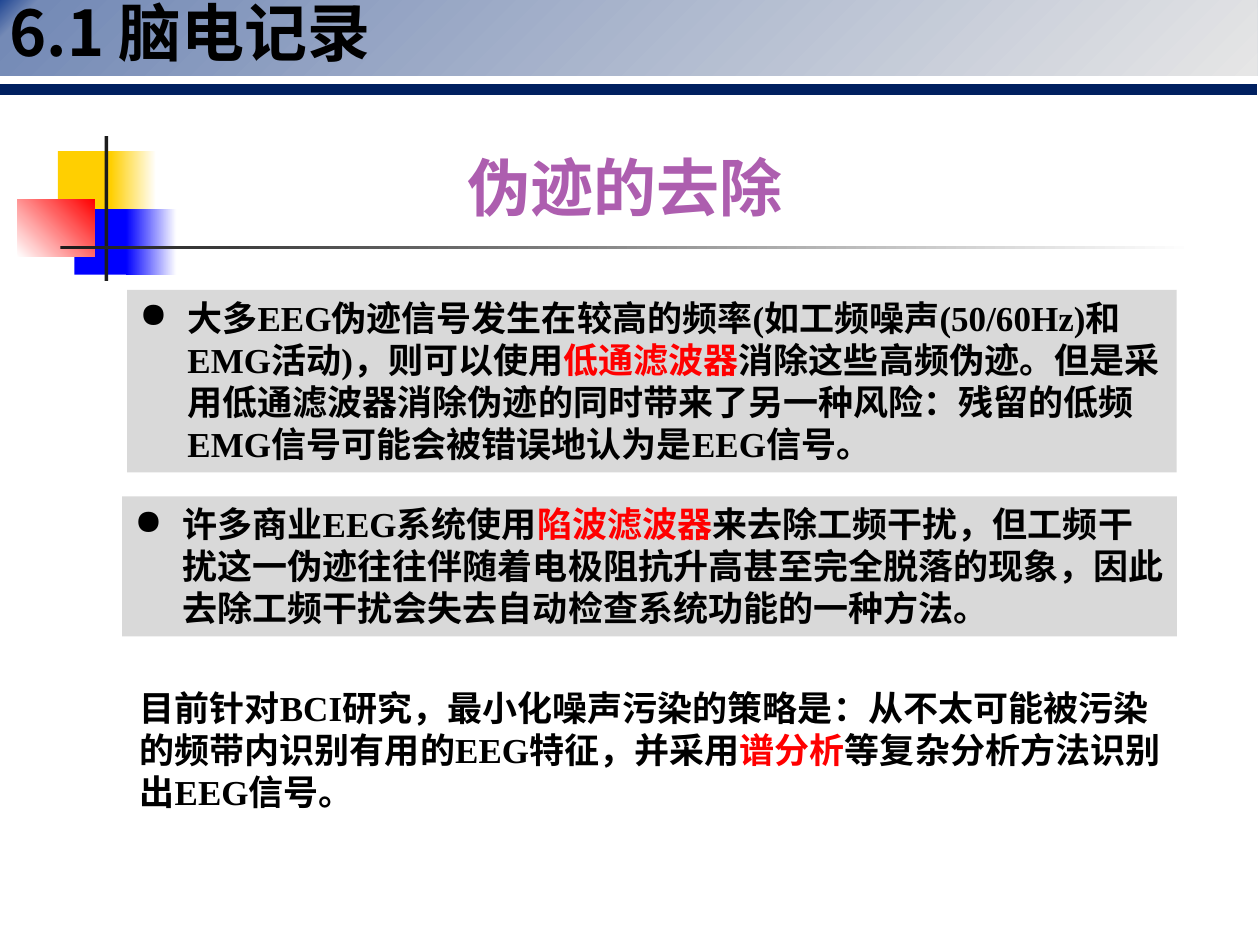
import pptx
import pptx.util
import pptx.dml.color
import pptx.enum.shapes
import pptx.enum.text
import pptx.oxml
import pptx.oxml.ns

PX = 9144  # 100 px to the inch
COLORS = {
    "yellow": "FFCF01", "blue": "0000FF", "red": "FF0000", "white": "FFFFFF",
    "bar": "1C1C1C", "navy": "012D86", "steel": "748AB6", "silver": "E6E6E6",
    "rule": "002060", "panel": "D9D9D9", "title": "AD5EAF", "black": "000000",
}
CJK_FONT = "Noto Sans CJK SC"
BODY_FONT = "Times New Roman"
FIRST_POINT = [
    ("大多EEG伪迹信号发生在较高的频率(如工频噪声(50/60Hz)和EMG活动)，则可以使用", "black"),
    ("低通滤波器", "red"),
    ("消除这些高频伪迹。但是采用低通滤波器消除伪迹的同时带来了另一种风险："
     "残留的低频EMG信号可能会被错误地认为是EEG信号。", "black"),
]
SECOND_POINT = [
    ("许多商业EEG系统使用", "black"),
    ("陷波滤波器", "red"),
    ("来去除工频干扰，但工频干扰这一伪迹往往伴随着电极阻抗升高甚至完全脱落的现象，"
     "因此去除工频干扰会失去自动检查系统功能的一种方法。", "black"),
]
SUMMARY = [
    ("目前针对BCI研究，最小化噪声污染的策略是：从不太可能被污染的频带内识别有用的EEG特征，并采用", "black"),
    ("谱分析", "red"),
    ("等复杂分析方法识别出EEG信号。", "black"),
]


def rgb(name):
    return pptx.dml.color.RGBColor.from_string(COLORS[name])


def fill_gradient(shape, stops, angle):
    """Fill with (percent, colour) stops; the angle runs clockwise in degrees."""
    marks = "".join(
        f'<a:gs pos="{percent * 1000}"><a:srgbClr val="{COLORS[name]}"/></a:gs>'
        for percent, name in stops)
    gradient = pptx.oxml.parse_xml(
        f'<a:gradFill {pptx.oxml.ns.nsdecls("a")} rotWithShape="1"><a:gsLst>{marks}</a:gsLst>'
        f'<a:lin ang="{angle * 60000}" scaled="0"/></a:gradFill>')
    shape.fill.background()
    properties = shape.fill._xPr
    properties.replace(properties.find(pptx.oxml.ns.qn("a:noFill")), gradient)


def add_block(page, box, colors, angle=0):
    """Add a rectangle: one colour is solid, several (percent, colour) stops a gradient."""
    block = page.shapes.add_shape(
        pptx.enum.shapes.MSO_SHAPE.RECTANGLE, *(length * PX for length in box))
    block.shadow.inherit = False
    block.line.fill.background()
    if isinstance(colors, str):
        block.fill.solid()
        block.fill.fore_color.rgb = rgb(colors)
    else:
        fill_gradient(block, colors, angle)
    return block


def write_text(shape, spans, size, font, bullet=False):
    frame = shape.text_frame
    frame.word_wrap = True
    frame.vertical_anchor = pptx.enum.text.MSO_ANCHOR.TOP
    para = frame.paragraphs[0]
    para.alignment = pptx.enum.text.PP_ALIGN.LEFT
    if bullet:
        properties = para._p.get_or_add_pPr()
        indent = 38 * PX
        properties.set("marL", str(indent))
        properties.set("indent", str(-indent))
        properties.append(pptx.oxml.parse_xml(
            f'<a:buChar {pptx.oxml.ns.nsdecls("a")} char="●"/>'))
    for text, color in spans:
        span = para.add_run()
        span.text = text
        span.font.size = pptx.util.Pt(size)
        span.font.bold = True
        span.font.name = font
        span.font.color.rgb = rgb(color)
        span.font._element.find(pptx.oxml.ns.qn("a:latin")).addnext(pptx.oxml.parse_xml(
            f'<a:ea {pptx.oxml.ns.nsdecls("a")} typeface="{CJK_FONT}"/>'))


def add_text(page, box, spans, size, font):
    shape = page.shapes.add_textbox(*(length * PX for length in box))
    write_text(shape, spans, size, font)


def add_ornament(page, left, top):
    """Coloured squares crossed by a vertical bar and a fading rule."""
    parts = [
        ((32, 12, 48, 52), "yellow", 0),
        ((74, 12, 36, 52), [(0, "yellow"), (100, "white")], 0),
        ((45, 58, 46, 52), "blue", 0),
        ((86, 58, 40, 52), [(0, "blue"), (100, "white")], 0),
        ((0, 50, 61, 46), [(0, "white"), (100, "red")], 315),
        ((69, 0, 3, 115), "bar", 0),
        ((34, 87, 900, 3), [(0, "bar"), (100, "white")], 0),
    ]
    for (x, y, width, height), colors, angle in parts:
        add_block(page, (left + x, top + y, width, height), colors, angle)


def add_header(page, left, top, width, height):
    band = add_block(page, (left, top, width, height),
                     [(0, "navy"), (4, "steel"), (100, "silver")], 45)
    write_text(band, [("6.1 脑电记录", "black")], 36, CJK_FONT)
    band.text_frame.vertical_anchor = pptx.enum.text.MSO_ANCHOR.MIDDLE
    rule_y = top + height + 11
    rule = page.shapes.add_connector(
        pptx.enum.shapes.MSO_CONNECTOR.STRAIGHT,
        left * PX, rule_y * PX, (left + width) * PX, rule_y * PX)
    rule.line.color.rgb = rgb("rule")
    rule.line.width = pptx.util.Pt(6)
    rule._element.spPr.append(pptx.oxml.parse_xml(
        f'<a:effectLst {pptx.oxml.ns.nsdecls("a")}/>'))


def add_point(page, box, spans):
    panel = add_block(page, box, "panel")
    write_text(panel, spans, 20, BODY_FONT, bullet=True)


def main():
    deck = pptx.Presentation()
    deck.slide_width, deck.slide_height = 1000 * PX, 750 * PX
    page = deck.slides.add_slide(deck.slide_layouts[6])
    add_ornament(page, 14, 108)
    add_header(page, -2, -10, 1000, 70)
    add_point(page, (101, 230, 833, 145), FIRST_POINT)
    add_text(page, (101, 540, 837, 111), SUMMARY, 20, BODY_FONT)
    add_point(page, (97, 394, 837, 111), SECOND_POINT)
    add_text(page, (361, 113, 296, 71), [("伪迹的去除", "title")], 36, "Cabin")
    deck.save("out.pptx")


if __name__ == "__main__":
    main()
